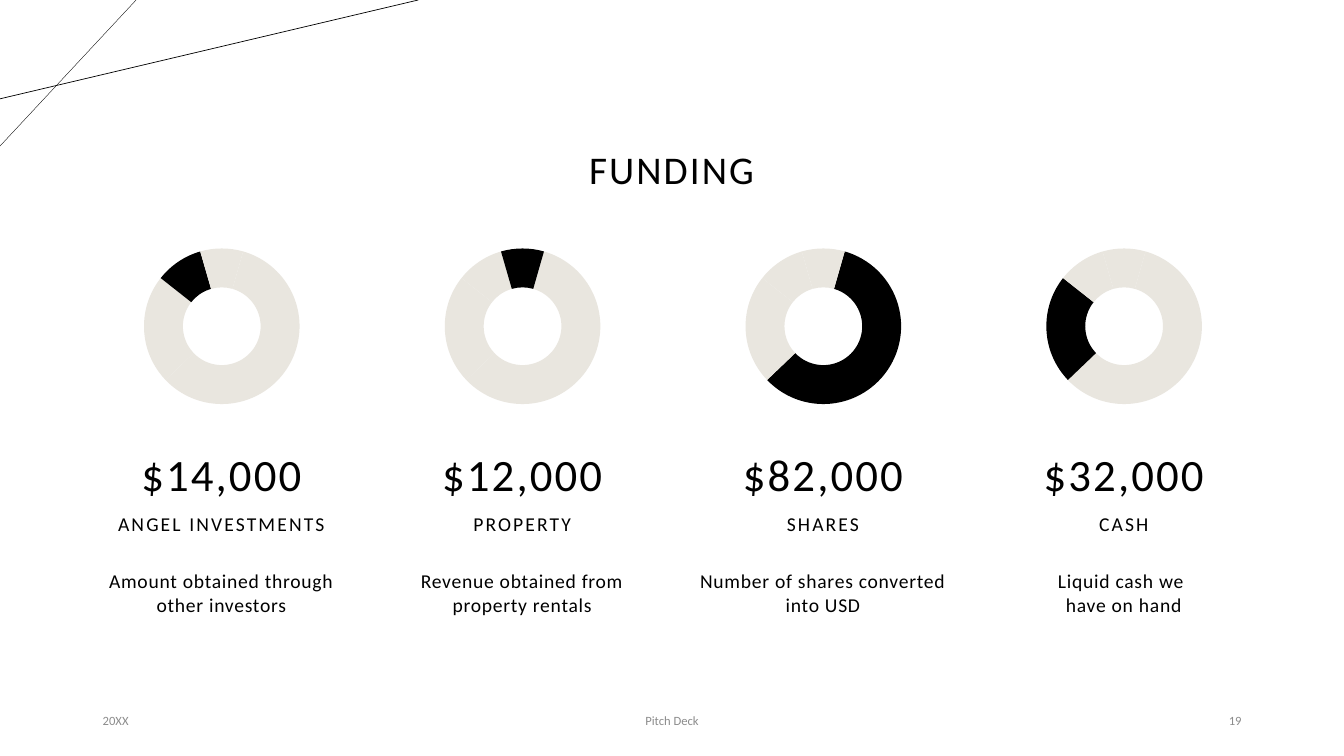
"""Build the funding slide: four doughnut charts with amounts and descriptions."""
from copy import deepcopy
from dataclasses import dataclass

from lxml.etree import SubElement
from pptx import Presentation
from pptx.chart.data import CategoryChartData as ChartData
from pptx.dml.color import RGBColor as Color
from pptx.enum.chart import XL_CHART_TYPE as ChartType
from pptx.enum.shapes import MSO_CONNECTOR as Connector
from pptx.enum.text import MSO_ANCHOR as Anchor, PP_ALIGN as Align
from pptx.oxml import parse_xml
from pptx.oxml.ns import nsdecls, qn
from pptx.util import Cm, Pt


@dataclass(frozen=True)
class Theme:
    font: str = "Calibri"
    ink: Color = Color(0x00, 0x00, 0x00)
    ring: Color = Color(0xE9, 0xE6, 0xDF)
    muted: Color = Color(0x8C, 0x8C, 0x8C)
    title: int = 28
    amount: int = 32
    body: int = 14
    chart: int = 10
    footer: int = 9


theme = Theme()
presentation = Presentation()
presentation.slide_width, presentation.slide_height = Cm(33.87), Cm(19.05)
slide = presentation.slides.add_slide(presentation.slide_layouts[6])


def add_text(text, left, top, width, height, *, size, color=theme.ink, align=Align.CENTER,
             anchor=Anchor.MIDDLE, tracking=0, line=1.0, before=0, inset=0.25):
    box = slide.shapes.add_textbox(Cm(left), Cm(top), Cm(width), Cm(height))
    frame = box.text_frame
    frame.word_wrap = True
    frame.vertical_anchor = anchor
    frame.margin_left = frame.margin_right = Cm(inset)
    paragraph = frame.paragraphs[0]
    paragraph.text = text
    paragraph.alignment = align
    paragraph.line_spacing = line
    paragraph.space_before = Pt(before)
    for run in paragraph.runs:
        run.font.name = theme.font
        run.font.size = Pt(size)
        run.font.color.rgb = color
        run.font._element.set("spc", str(round(tracking * 100)))
    for line_break in paragraph._p.findall(qn("a:br")):
        line_break.append(deepcopy(paragraph.runs[0].font._element))


def add_doughnut(left, top, width, height, highlighted):
    data = ChartData()
    data.categories = ["1", "2", "3", "4"]
    data.add_series("Series 1", SHARES)
    chart = slide.shapes.add_chart(
        ChartType.DOUGHNUT, Cm(left), Cm(top), Cm(width), Cm(height), data).chart
    chart.has_title = chart.has_legend = False
    chart.font.name = theme.font
    chart.font.size = Pt(theme.chart)
    chart.font.color.rgb = theme.ink
    plot = chart.plots[0]
    plot.vary_by_categories = True
    plot.has_data_labels = False
    for index in range(len(SHARES)):
        point = plot.series[0].points[index].format
        point.fill.solid()
        point.fill.fore_color.rgb = theme.ink if index == highlighted else theme.ring
        point.line.fill.background()
    plot._element.find(qn("c:firstSliceAng")).set("val", "16")
    plot._element.find(qn("c:holeSize")).set("val", "80")
    area = plot._element.getparent()
    for layout in area.findall(qn("c:layout")):
        area.remove(layout)
    area.insert(0, parse_xml(
        f'<c:layout {nsdecls("c")}><c:manualLayout><c:layoutTarget val="inner"/>'
        '<c:xMode val="edge"/><c:yMode val="edge"/><c:x val="0.12"/><c:y val="0.08"/>'
        '<c:w val="0.76"/><c:h val="0.85"/></c:manualLayout></c:layout>'))


SHARES = (59, 23, 10, 9)
FIRST_LEFT, COLUMN_STEP, COLUMN_WIDTH = 2.34, 7.58, 6.48
FUNDING = [
    ("$14,000", "ANGEL INVESTMENTS", "Amount obtained through other investors", 2),
    ("$12,000", "PROPERTY", "Revenue obtained from property rentals", 3),
    ("$82,000", "SHARES", "Number of shares converted into USD", 0),
    ("$32,000", "CASH", "Liquid cash we \vhave on hand", 1),
]

for start_x, end_y, weight in [(3.43, 3.68, 0.25), (10.54, 2.49, 0.5)]:
    accent = slide.shapes.add_connector(Connector.STRAIGHT, Cm(start_x), 0, 0, Cm(end_y))
    accent.line.color.rgb = theme.ink
    accent.line.width = Pt(weight)
    SubElement(accent._element.spPr, qn("a:effectLst"))

add_text("FUNDING", 5.23, 2.49, 23.39, 3.68, size=theme.title, tracking=1.5, line=0.9)

for column, (amount, source, description, highlighted) in enumerate(FUNDING):
    left = FIRST_LEFT + column * COLUMN_STEP
    add_doughnut(left + 0.67, 5.89, 5.16, 4.62, highlighted)
    add_text(amount, left, 10.52, COLUMN_WIDTH, 2.24, size=theme.amount,
             anchor=Anchor.BOTTOM, tracking=1.5, line=0.9, before=10, inset=0)
    add_text(source, left, 12.4, COLUMN_WIDTH, 1.22, size=theme.body,
             anchor=Anchor.BOTTOM, tracking=1.5, line=0.9, before=10, inset=0)
    add_text(description, left, 14.22, COLUMN_WIDTH, 2.36, size=theme.body,
             anchor=Anchor.TOP, tracking=0.5, before=10, inset=0)

for text, left, width, align in [
    ("20XX", 2.34, 7.62, Align.LEFT),
    ("Pitch Deck", 11.22, 11.43, Align.CENTER),
    ("19", 23.92, 7.62, Align.RIGHT),
]:
    add_text(text, left, 17.65, width, 1.02, size=theme.footer, color=theme.muted, align=align)

presentation.save("out.pptx")
